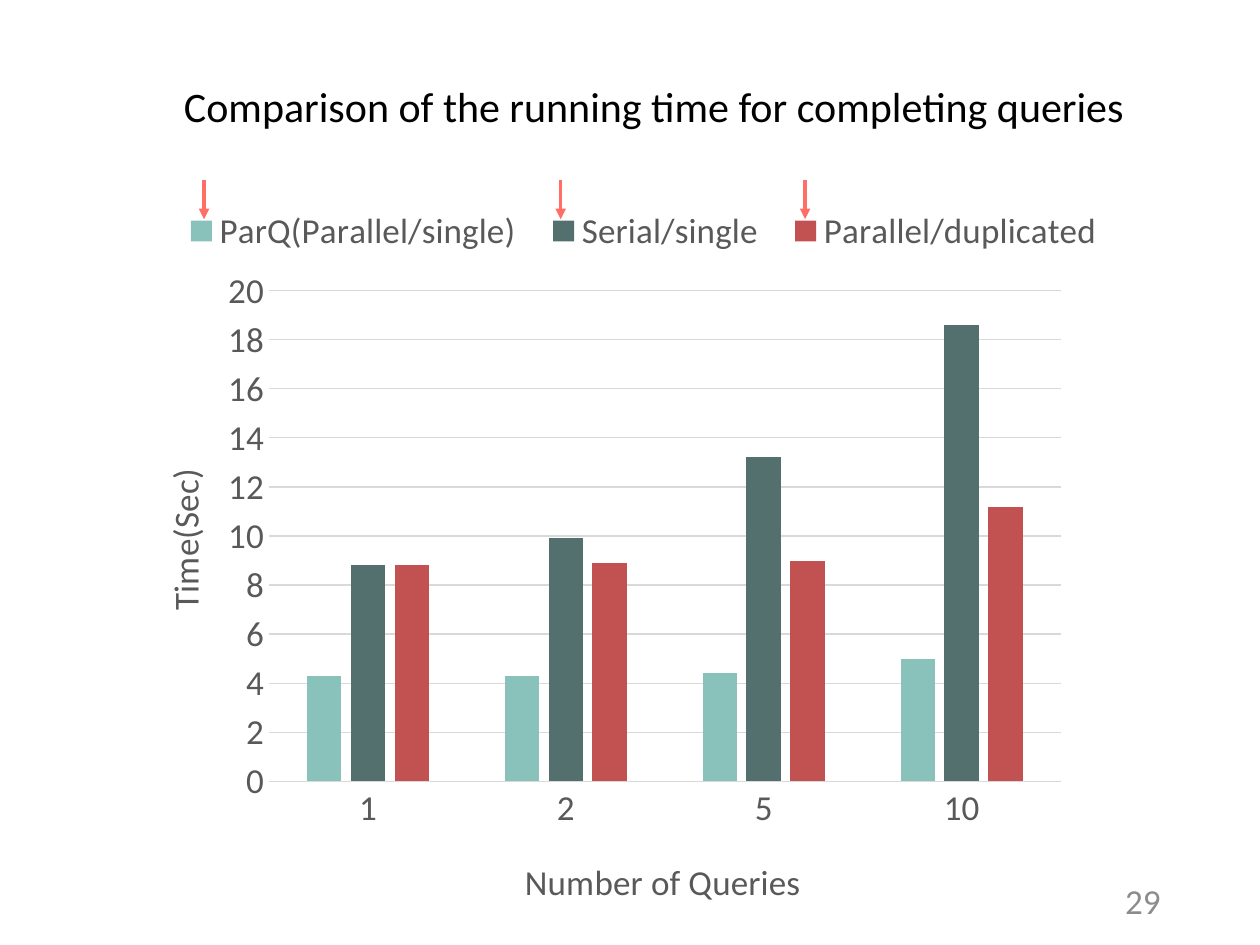
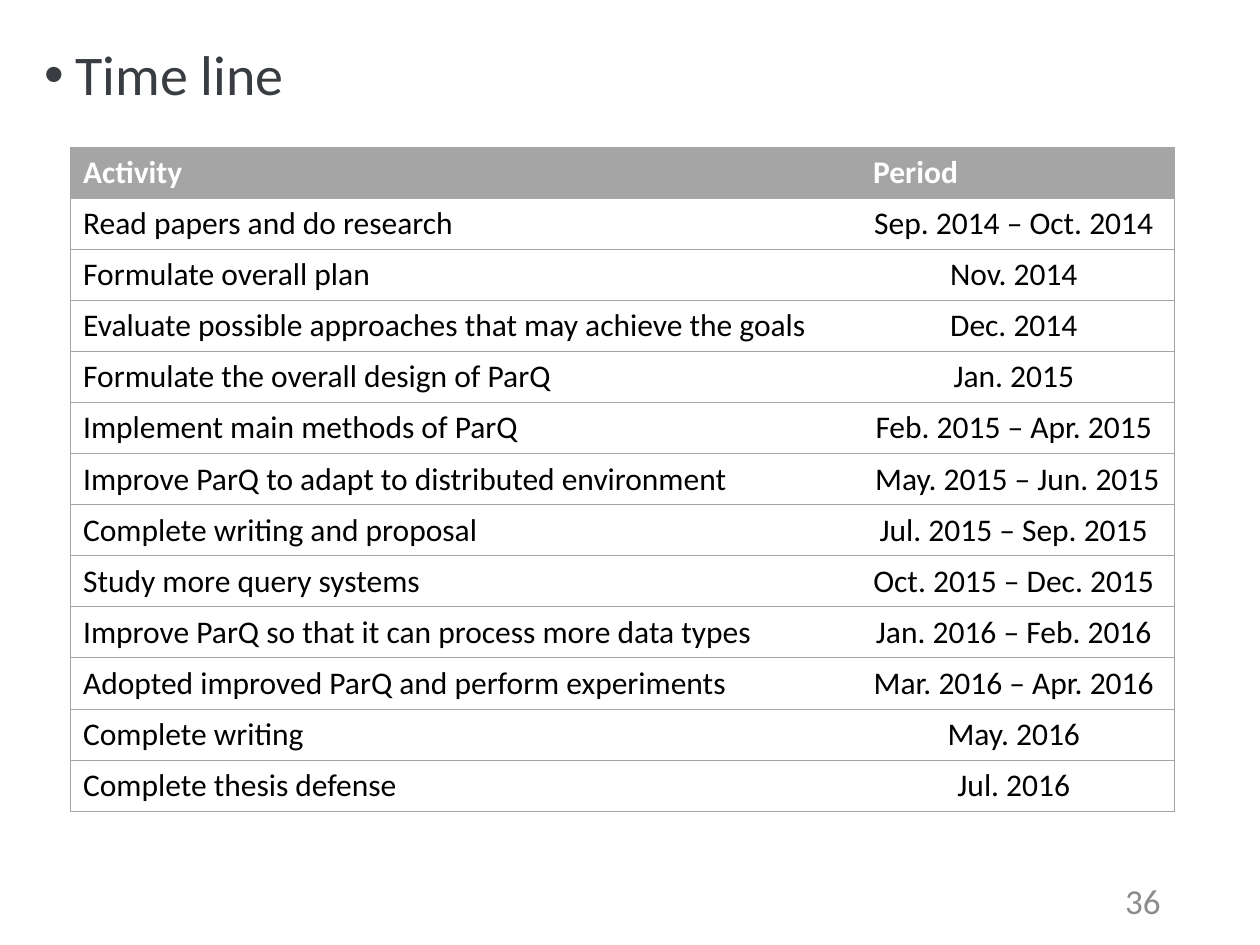
from lxml import etree
from pptx import Presentation
from pptx.chart.data import CategoryChartData
from pptx.dml.color import RGBColor
from pptx.enum.chart import XL_CHART_TYPE, XL_LEGEND_POSITION, XL_TICK_MARK
from pptx.enum.shapes import MSO_CONNECTOR
from pptx.enum.text import MSO_ANCHOR, MSO_AUTO_SIZE, PP_ALIGN
from pptx.oxml.ns import qn
from pptx.util import Inches, Pt

COLUMNS = XL_CHART_TYPE.COLUMN_CLUSTERED
LEGEND_BOTTOM = XL_LEGEND_POSITION.BOTTOM
NO_TICKS = XL_TICK_MARK.NONE
STRAIGHT = MSO_CONNECTOR.STRAIGHT
TOP, MIDDLE = MSO_ANCHOR.TOP, MSO_ANCHOR.MIDDLE
LEFT, CENTER, RIGHT = PP_ALIGN.LEFT, PP_ALIGN.CENTER, PP_ALIGN.RIGHT
NO_AUTOFIT = MSO_AUTO_SIZE.NONE

FONT = "Calibri"
COLORS = {
    "text": "000000",
    "heading": "393D42",
    "page_number": "8C8C8C",
    "axis_text": "595959",
    "grid": "D9D9D9",
    "arrow": "FF6F66",
    "table_line": "A5A5A5",
    "white": "FFFFFF",
    "parq": "88C2BB",
    "serial": "53706F",
    "duplicated": "C25151",
}
TITLE_ONLY = 5
PAGE_NUMBER_BOX = (7.06, 6.95, 2.25, 0.4)

QUERY_COUNTS = [1, 2, 5, 10]
RUNNING_TIMES = [
    ("ParQ(Parallel/single)", "parq", [4.3, 4.3, 4.4, 5]),
    ("Serial/single", "serial", [8.8, 9.9, 13.2, 18.6]),
    ("Parallel/duplicated", "duplicated", [8.8, 8.9, 9, 11.2]),
]
ACTIVITIES = [
    ("Read papers and do research", "Sep. 2014 – Oct. 2014"),
    ("Formulate overall plan", "Nov. 2014"),
    ("Evaluate possible approaches that may achieve the goals", "Dec. 2014"),
    ("Formulate the overall design of ParQ", "Jan. 2015"),
    ("Implement main methods of ParQ", "Feb. 2015 – Apr. 2015"),
    ("Improve ParQ to adapt to distributed environment", "May. 2015 – Jun. 2015"),
    ("Complete writing and proposal", "Jul. 2015 – Sep. 2015"),
    ("Study more query systems", "Oct. 2015 – Dec. 2015"),
    ("Improve ParQ so that it can process more data types", "Jan. 2016 – Feb. 2016"),
    ("Adopted improved ParQ and perform experiments", "Mar. 2016 – Apr. 2016"),
    ("Complete writing", "May. 2016"),
    ("Complete thesis defense", "Jul. 2016"),
]


def rgb(name):
    return RGBColor.from_string(COLORS[name])


def inches(box):
    return [Inches(length) for length in box]


def style_font(font, size, color, bold=False):
    font.name, font.size, font.bold = FONT, Pt(size), bold
    font.color.rgb = rgb(color)


def write_text(frame, text, size=18, color="text", bold=False, align=LEFT):
    para = frame.paragraphs[0]
    para.alignment = align
    span = para.add_run()
    span.text = text
    style_font(span.font, size, color, bold)
    return para


def add_page(deck, title, number, box, size, color, anchor):
    """Add a page with a title in the given box and a page number."""
    page = deck.slides.add_slide(deck.slide_layouts[TITLE_ONLY])
    heading = page.shapes.title
    heading.left, heading.top, heading.width, heading.height = inches(box)
    frame = heading.text_frame
    frame.auto_size, frame.vertical_anchor = NO_AUTOFIT, anchor
    para = write_text(frame, title, size=size, color=color)

    number_box = page.shapes.add_textbox(*inches(PAGE_NUMBER_BOX))
    number_box.text_frame.word_wrap = True
    number_box.text_frame.vertical_anchor = MIDDLE
    write_text(number_box.text_frame, number, size=20, color="page_number", align=RIGHT)
    return page, para


def add_bullet(para, indent):
    para.line_spacing = 0.9
    para.space_before = Pt(10)
    properties = para._p.get_or_add_pPr()
    properties.set("marL", str(Inches(indent)))
    properties.set("indent", str(-Inches(indent)))
    etree.SubElement(properties, qn("a:buFont"), typeface="Arial")
    etree.SubElement(properties, qn("a:buChar"), char="•")


def place_in_chart(element, **fractions):
    """Fix a chart part's place by fractions of the chart's size."""
    for old in element.findall(qn("c:layout")):
        element.remove(old)
    layout = etree.Element(qn("c:layout"))
    manual = etree.SubElement(layout, qn("c:manualLayout"))
    if element.tag == qn("c:plotArea"):
        etree.SubElement(manual, qn("c:layoutTarget"), val="inner")
        element.insert(0, layout)
    else:
        element.find(qn("c:overlay")).addprevious(layout)
    for key in ("x", "y"):
        etree.SubElement(manual, qn(f"c:{key}Mode"), val="edge")
    for key, value in fractions.items():
        etree.SubElement(manual, qn(f"c:{key}"), val=str(value))


def format_axis(axis, title, x, y):
    axis.major_tick_mark = axis.minor_tick_mark = NO_TICKS
    style_font(axis.tick_labels.font, 20, "axis_text")
    write_text(axis.axis_title.text_frame, title, size=20, color="axis_text")
    place_in_chart(axis.axis_title._element, x=x, y=y)


def draw_line(line, color, width):
    line.color.rgb = rgb(color)
    line.width = Pt(width)


def add_running_time_chart(page, box):
    data = CategoryChartData()
    data.categories = QUERY_COUNTS
    for name, _, times in RUNNING_TIMES:
        data.add_series(name, times)
    chart = page.shapes.add_chart(COLUMNS, *inches(box), data).chart
    chart.has_title = False
    style_font(chart.font, 20, "text")

    plot = chart.plots[0]
    plot.gap_width, plot.overlap, plot.vary_by_categories = 219, -27, False
    for series, (_, color, _) in zip(plot.series, RUNNING_TIMES):
        series.format.fill.solid()
        series.format.fill.fore_color.rgb = rgb(color)
    place_in_chart(chart._chartSpace.chart.plotArea, x=0.161, y=0.222, w=0.695, h=0.594)

    format_axis(chart.category_axis, "Number of Queries", x=0.38, y=0.9)
    draw_line(chart.category_axis.format.line, "grid", 0.75)
    times_axis = chart.value_axis
    format_axis(times_axis, "Time(Sec)", x=0.06, y=0.43)
    times_axis.minimum_scale, times_axis.maximum_scale, times_axis.major_unit = 0, 20, 2
    times_axis.format.line.fill.background()
    draw_line(times_axis.major_gridlines.format.line, "grid", 0.75)

    chart.has_legend = True
    legend = chart.legend
    legend.position, legend.include_in_layout = LEGEND_BOTTOM, False
    style_font(legend.font, 20, "axis_text")
    place_in_chart(legend._element, x=0.07, y=0.11, w=0.84, h=0.08)


def add_legend_arrows(page, box, offsets):
    """Point down across the box at each offset from its left side."""
    left, top, _, height = box
    for offset in offsets:
        x = Inches(left + offset)
        arrow = page.shapes.add_connector(STRAIGHT, x, Inches(top), x, Inches(top + height))
        draw_line(arrow.line, "arrow", 2)
        etree.SubElement(arrow.line._get_or_add_ln(), qn("a:tailEnd"), type="triangle")
        etree.SubElement(arrow._element.spPr, qn("a:effectLst"))


def set_borders(cell, visible):
    properties = cell._tc.get_or_add_tcPr()
    for index, side in enumerate(("lnL", "lnR", "lnT", "lnB")):
        border = etree.Element(qn(f"a:{side}"), w=str(Pt(0.5)))
        if side in visible:
            fill = etree.SubElement(border, qn("a:solidFill"))
            etree.SubElement(fill, qn("a:srgbClr"), val=COLORS["table_line"])
        else:
            etree.SubElement(border, qn("a:noFill"))
        properties.insert(index, border)


def add_timeline_table(page, box, column_widths):
    rows = [("Activity", "Period")] + ACTIVITIES
    table = page.shapes.add_table(len(rows), len(column_widths), *inches(box)).table
    table.horz_banding = False
    for column, width in zip(table.columns, column_widths):
        column.width = Inches(width)
    for row_index, texts in enumerate(rows):
        header = row_index == 0
        for column_index, text in enumerate(texts):
            cell = table.cell(row_index, column_index)
            is_period = column_index == 1 and not header
            if header:
                cell.fill.solid()
                cell.fill.fore_color.rgb = rgb("table_line")
            else:
                cell.fill.background()
            write_text(
                cell.text_frame,
                f"{text} " if is_period else text,
                color="white" if header else "text",
                bold=header,
                align=CENTER if is_period else LEFT,
            )
            set_borders(cell, ("lnT", "lnB", ("lnL", "lnR")[column_index]))


def build_comparison_page(deck):
    page, _ = add_page(
        deck, "Comparison of the running time for completing queries", "29",
        box=(1.36, 0.59, 7.67, 0.5), size=24, color="text", anchor=TOP,
    )
    add_running_time_chart(page, (0.68, 0.85, 9.04, 6.56))
    add_legend_arrows(page, (1.62, 1.43, 4.77, 0.31), offsets=(0, 2.83, 4.77))


def build_timeline_page(deck):
    page, heading = add_page(
        deck, "Time line", "36",
        box=(0.25, 0.3, 8.62, 0.63), size=32, color="heading", anchor=MIDDLE,
    )
    add_bullet(heading, 0.25)
    add_timeline_table(page, (0.56, 1.17, 8.76, 5.27), (6.27, 2.49))


def main():
    deck = Presentation()
    deck.slide_width, deck.slide_height = Inches(10), Inches(7.5)
    build_comparison_page(deck)
    build_timeline_page(deck)
    deck.save("out.pptx")


if __name__ == "__main__":
    main()
